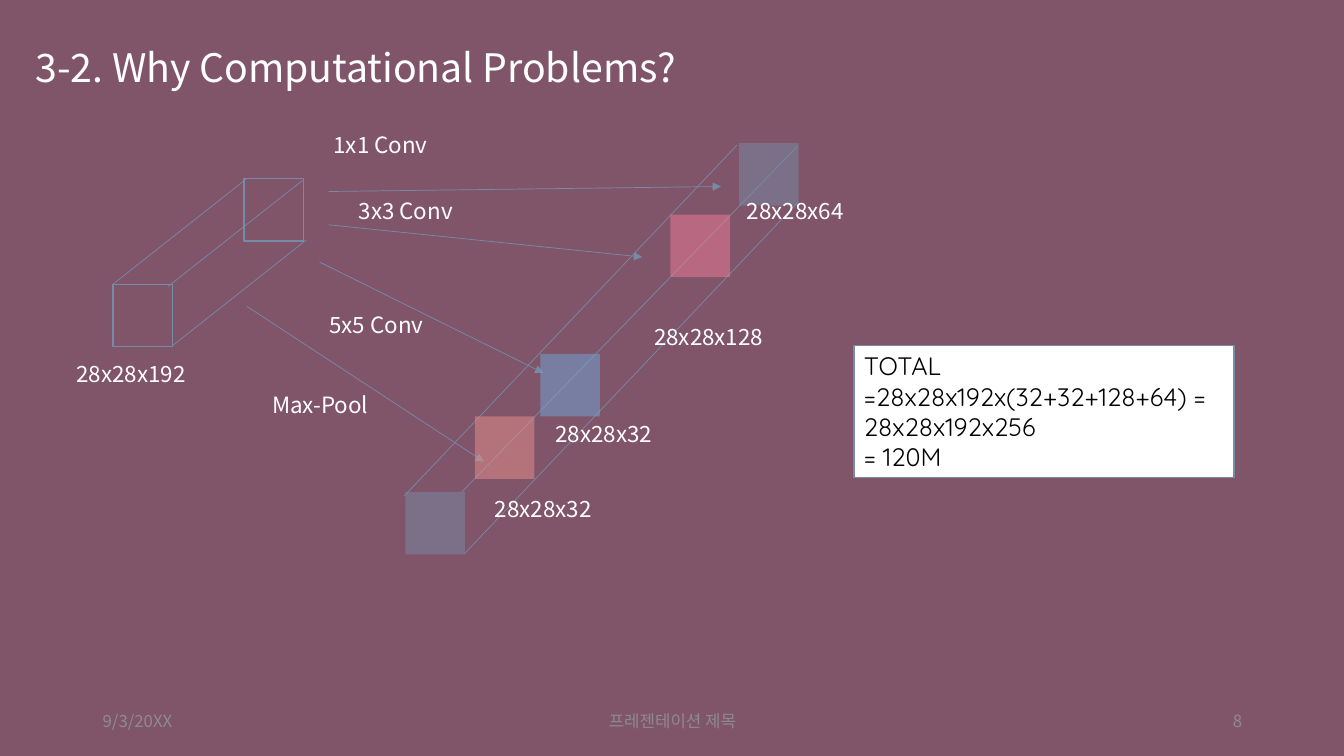
"""Build the slide on the computational cost of parallel convolutions."""
from dataclasses import dataclass

from lxml.etree import SubElement
from pptx import Presentation
from pptx.dml.color import RGBColor
from pptx.enum.shapes import MSO_CONNECTOR, MSO_SHAPE
from pptx.enum.text import MSO_ANCHOR, MSO_AUTO_SIZE, PP_ALIGN
from pptx.oxml.ns import qn
from pptx.util import Inches, Pt


@dataclass(frozen=True)
class Theme:
    """Colours, fonts and type sizes."""
    background: str = "815569"
    text: str = "FFFFFF"
    muted: str = "8C8C8C"
    dark: str = "000000"
    panel: str = "FFFFFF"
    line: str = "768BA6"
    blue: str = "70A8DB"
    coral: str = "E8908B"
    pink: str = "F07C98"
    font: str = "Noto Sans CJK KR"
    total_font: str = "Quicksand"
    title_size: int = 28
    total_size: int = 18
    label_size: int = 16
    footer_size: int = 12


class SlideBuilder:
    """Draws styled elements on one slide."""

    def __init__(self, slide, theme):
        """Keep the slide and theme, and paint the background."""
        self.slide, self.theme = slide, theme
        fill = slide.background.fill
        fill.solid()
        fill.fore_color.rgb = RGBColor.from_string(theme.background)

    def set_text(self, sp, text, size, color, font=None, align=PP_ALIGN.LEFT,
                 anchor=MSO_ANCHOR.TOP):
        """Set and format the text of a shape."""
        tf = sp.text_frame
        tf.text = text
        tf.word_wrap = True
        tf.auto_size = MSO_AUTO_SIZE.NONE
        tf.vertical_anchor = anchor
        for p in tf.paragraphs:
            p.alignment = align
            for r in p.runs:
                r.font.size = Pt(size)
                r.font.name = font or self.theme.font
                r.font.color.rgb = RGBColor.from_string(color)
                ea = SubElement(r.font._element, qn("a:ea"))
                ea.set("typeface", r.font.name)

    def title(self, text, left, top, width, height):
        """Place and fill the title placeholder."""
        sp = self.slide.shapes.title
        sp.left, sp.top = Inches(left), Inches(top)
        sp.width, sp.height = Inches(width), Inches(height)
        self.set_text(sp, text, self.theme.title_size, self.theme.text,
                      anchor=MSO_ANCHOR.MIDDLE)
        sp.text_frame.paragraphs[0].line_spacing = 0.9

    def label(self, text, left, top):
        """Add a diagram label."""
        sp = self.slide.shapes.add_textbox(
            Inches(left), Inches(top), Inches(1.5), Inches(0.37))
        self.set_text(sp, text, self.theme.label_size, self.theme.text)

    def footer(self, text, left, width, align):
        """Add a footer entry."""
        sp = self.slide.shapes.add_textbox(
            Inches(left), Inches(6.95), Inches(width), Inches(0.4))
        self.set_text(sp, text, self.theme.footer_size, self.theme.muted,
                      align=align, anchor=MSO_ANCHOR.MIDDLE)

    def box(self, left, top, width=0.59, height=0.62, fill=None, alpha=None,
            outlined=True):
        """Add a rectangle, by default an outlined tensor face."""
        sp = self.slide.shapes.add_shape(
            MSO_SHAPE.RECTANGLE, Inches(left), Inches(top),
            Inches(width), Inches(height))
        sp.shadow.inherit = False
        if fill:
            sp.fill.solid()
            sp.fill.fore_color.rgb = RGBColor.from_string(fill)
        else:
            sp.fill.background()
        if alpha:
            color = sp._element.spPr.find(qn("a:solidFill"))[0]
            SubElement(color, qn("a:alpha")).set("val", str(alpha * 1000))
        if outlined:
            sp.line.color.rgb = RGBColor.from_string(self.theme.line)
            sp.line.width = Pt(1)
        else:
            sp.line.fill.background()
        return sp

    def line(self, start, end, arrow=False):
        """Add a thin line, with an arrowhead at its end if wanted."""
        cn = self.slide.shapes.add_connector(
            MSO_CONNECTOR.STRAIGHT, *map(Inches, start + end))
        cn.line.color.rgb = RGBColor.from_string(self.theme.line)
        cn.line.width = Pt(0.5)
        if arrow:
            ln = cn._element.spPr.find(qn("a:ln"))
            SubElement(ln, qn("a:tailEnd")).set("type", "triangle")
        SubElement(cn._element.spPr, qn("a:effectLst"))

    def total(self, text, left, top, width, height):
        """Add the panel with the total cost."""
        sp = self.box(left, top, width, height, fill=self.theme.panel)
        self.set_text(sp, text, self.theme.total_size, self.theme.dark,
                      self.theme.total_font)


def main():
    """Build and save the slide."""
    theme = Theme()
    prs = Presentation()
    prs.slide_width, prs.slide_height = Inches(13.33), Inches(7.5)
    s = SlideBuilder(prs.slides.add_slide(prs.slide_layouts[5]), theme)

    s.title("3-2. Why Computational Problems?", 0.25, 0.22, 6.79, 0.94)
    for text, left, width, align in (
            ("9/3/20XX", 0.92, 3, PP_ALIGN.LEFT),
            ("프레젠테이션 제목", 4.42, 4.5, PP_ALIGN.CENTER),
            ("8", 9.42, 3, PP_ALIGN.RIGHT)):
        s.footer(text, left, width, align)

    for left, top in ((1.12, 2.82), (2.42, 1.77)):
        s.box(left, top)
    for x, y in ((1.12, 2.82), (1.67, 2.84), (1.71, 3.43)):
        s.line((x, y), (x + 1.33, y - 1.05))

    for start, end in (((3.26, 1.9), (7.15, 1.85)),
                       ((3.26, 2.23), (6.37, 2.55)),
                       ((3.17, 2.6), (5.39, 3.7)),
                       ((2.45, 3.04), (4.8, 4.58))):
        s.line(start, end, arrow=True)

    s.box(4.02, 4.88, fill=theme.line, alpha=50, outlined=False)
    for start, end in (((4.61, 5.49), (7.91, 2.01)),
                       ((4.01, 4.92), (7.31, 1.44)),
                       ((4.58, 4.88), (7.91, 1.45))):
        s.line(start, end)
    for left, top, fill in ((7.33, 1.42, theme.line), (5.36, 3.51, theme.blue),
                            (4.71, 4.13, theme.coral), (6.65, 2.13, theme.pink)):
        s.box(left, top, fill=fill, alpha=50, outlined=False)

    for text, left, top in (
            ("28x28x192", 0.66, 3.52), ("1x1 Conv", 3.21, 1.25),
            ("3x3 Conv", 3.46, 1.91), ("5x5 Conv", 3.17, 3.04),
            ("Max-Pool", 2.6, 3.83), ("28x28x64", 7.31, 1.91),
            ("28x28x128", 6.39, 3.16), ("28x28x32", 5.41, 4.12),
            ("28x28x32", 4.81, 4.86)):
        s.label(text, left, top)

    s.total("TOTAL =28x28x192x(32+32+128+64) = 28x28x192x256\n= 120M",
            8.47, 3.43, 3.77, 1.31)
    prs.save("out.pptx")


if __name__ == "__main__":
    main()
